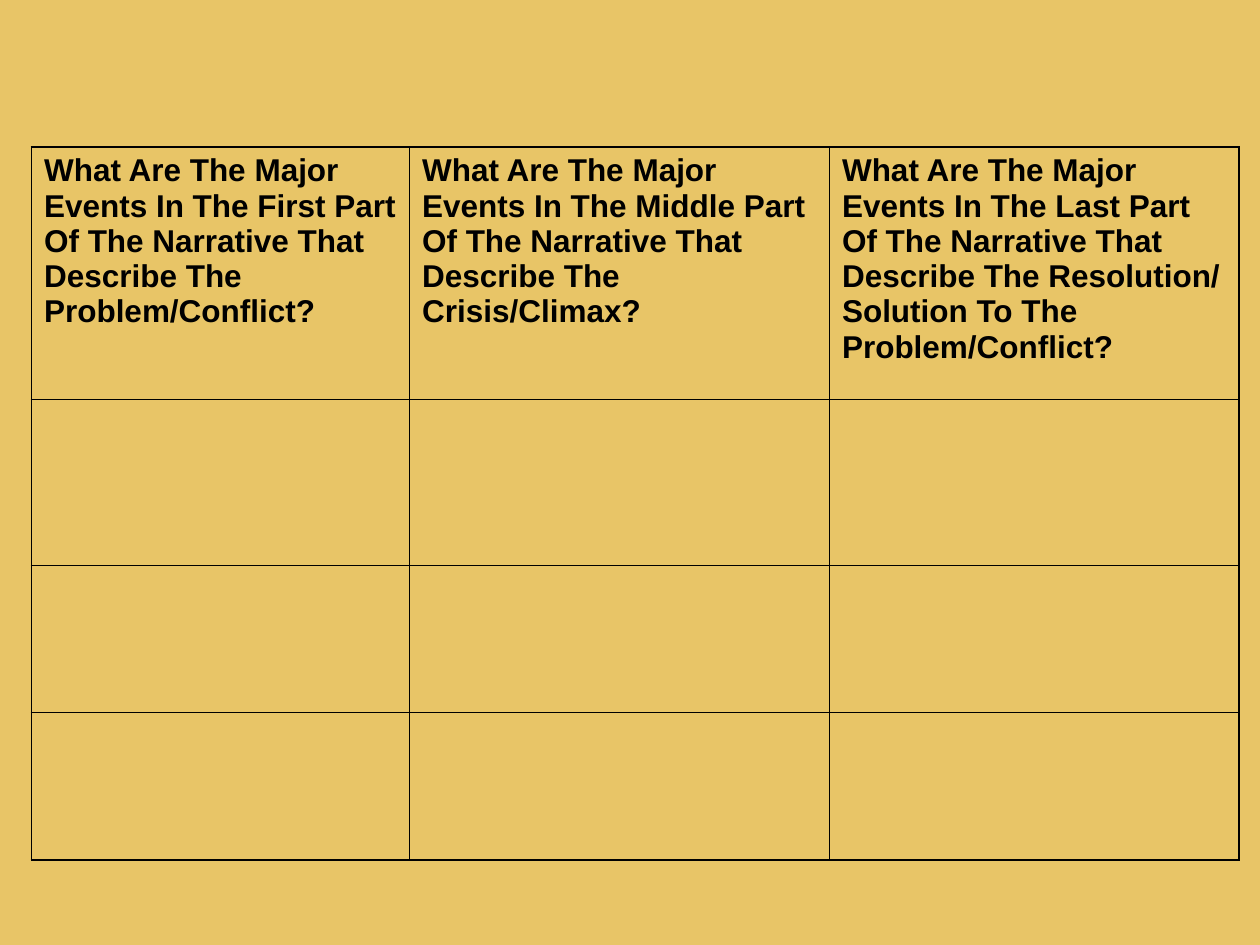
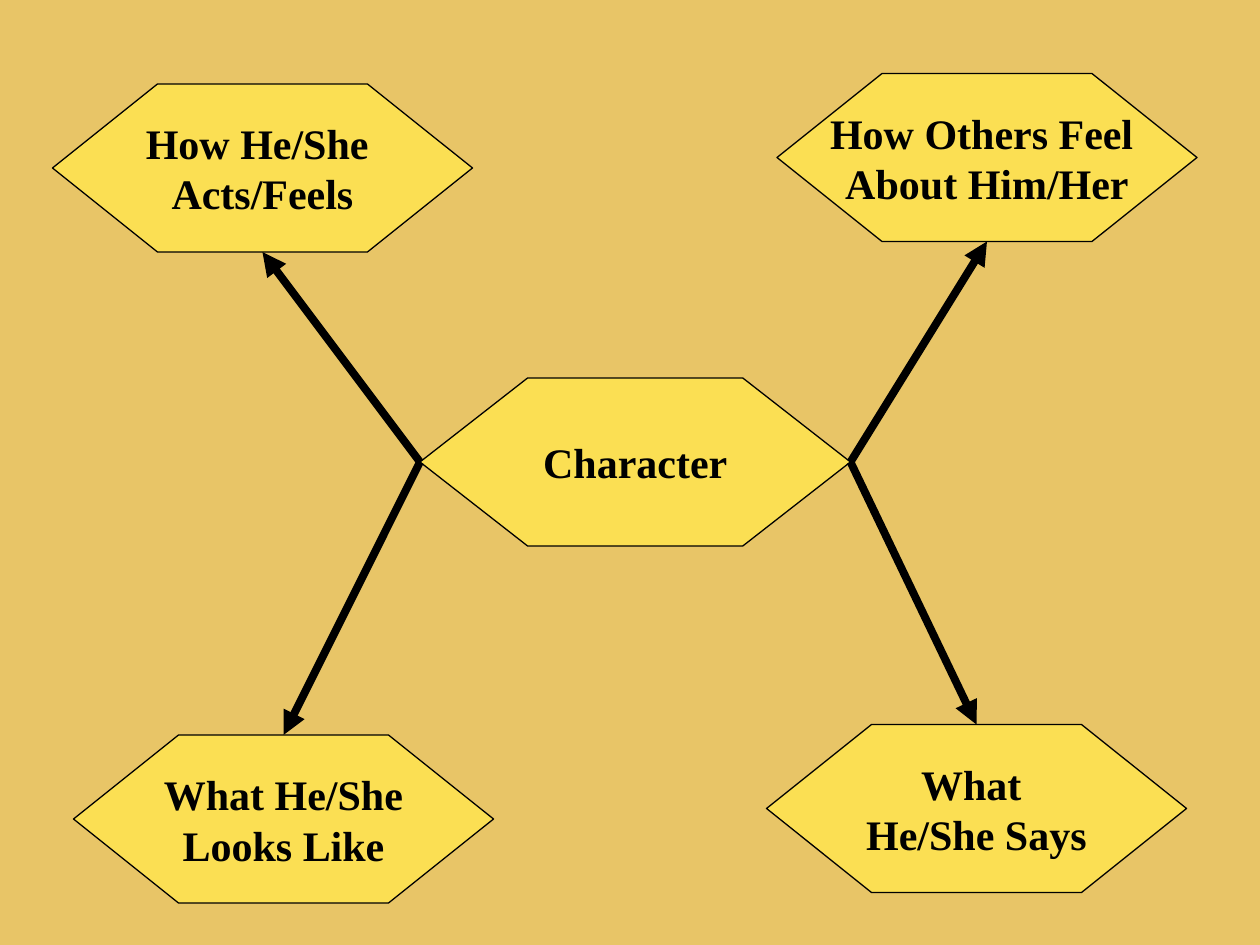
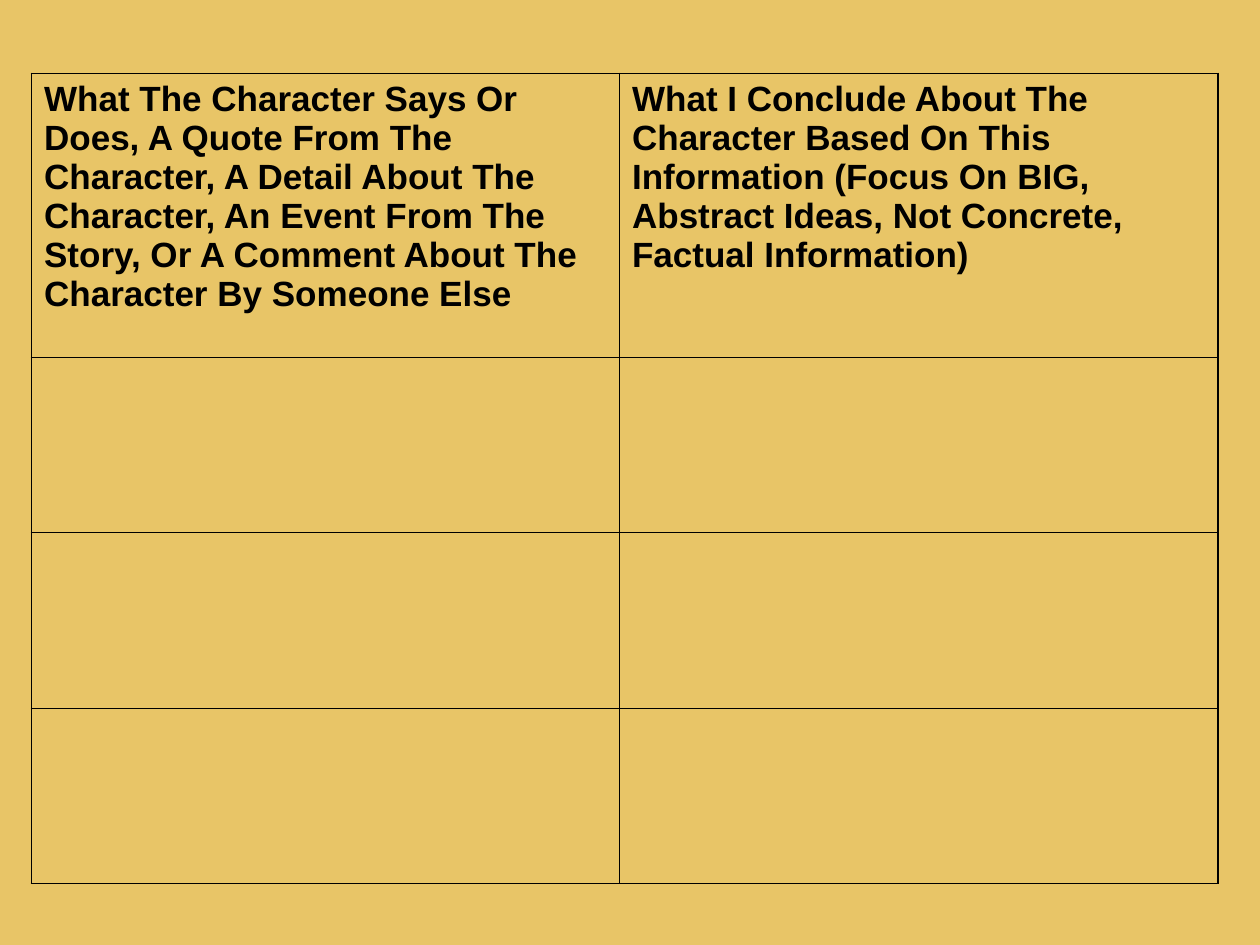
import pptx
import pptx.dml.color
import pptx.enum.shapes
import pptx.enum.text
import pptx.oxml
import pptx.oxml.ns
import pptx.util

Pt = pptx.util.Pt

# Shared look
BACKGROUND, HEXAGON_FILL, INK = "E8C567", "FBDF53", "000000"
OUTER_BORDER, INNER_BORDER = 1.08, 0.45

# Content: lengths in points
EVENTS_TABLE = {
    "position": (18, 84),
    "columns": [216, 240, 234],
    "rows": [144, 95, 84.25, 84.25],
    "size": 18,
    "headings": [
        "What Are The Major Events In The First Part Of The Narrative That Describe The Problem/Conflict?",
        "What Are The Major Events In The Middle Part Of The Narrative That Describe The Crisis/Climax?",
        "What Are The Major Events In The Last Part Of The Narrative That Describe The "
        "Resolution/ Solution To The Problem/Conflict?",
    ],
}
CONCLUSIONS_TABLE = {
    "position": (18, 42),
    "columns": [336, 342],
    "rows": [162, 100.3, 100.3, 100.3],
    "size": 20,
    "headings": [
        "What The Character Says Or Does, A Quote From The Character, A Detail About The Character, "
        "An Event From The Story, Or A Comment About The Character By Someone Else",
        "What I Conclude About The Character Based On This Information "
        "(Focus On BIG, Abstract Ideas, Not Concrete, Factual Information)",
    ],
}
HEXAGON_HEIGHT = 96
CENTER = {"lines": ["Character"], "left": 240, "top": 216, "width": 246}
TRAITS = [
    {"lines": ["How He/She ", "Acts/Feels"], "left": 30, "top": 48},
    {"lines": ["How Others Feel ", "About Him/Her"], "left": 444, "top": 42},
    {"lines": ["What He/She", "Looks Like"], "left": 42, "top": 420},
    {"lines": ["What ", "He/She Says"], "left": 438, "top": 414},
]
TRAIT_WIDTH = 240


def color(value):
    return pptx.dml.color.RGBColor.from_string(value)


def write(frame, lines, *, font, size, align=None):
    """Fill a text frame with bold paragraphs, one per line."""
    for index, line in enumerate(lines):
        paragraph = frame.paragraphs[0] if index == 0 else frame.add_paragraph()
        paragraph.alignment = align
        run = paragraph.add_run()
        run.text = line
        run.font.name, run.font.size, run.font.bold = font, Pt(size), True
        run.font.color.rgb = color(INK)


def set_border(cell, side, width):
    properties = cell._tc.get_or_add_tcPr()
    line = pptx.oxml.parse_xml(
        f'<a:{side} {pptx.oxml.ns.nsdecls("a")} w="{Pt(width)}">'
        f'<a:solidFill><a:srgbClr val="{INK}"/></a:solidFill></a:{side}>')
    properties.append(line)


def add_grid(slide, grid):
    """Add a ruled table with headings in its first row."""
    columns, rows = grid["columns"], grid["rows"]
    left, top = grid["position"]
    table = slide.shapes.add_table(len(rows), len(columns), Pt(left), Pt(top),
                                   Pt(sum(columns)), Pt(sum(rows))).table
    table.first_row = table.horz_banding = False
    for column, width in zip(table.columns, columns):
        column.width = Pt(width)
    for row, height in zip(table.rows, rows):
        row.height = Pt(height)
    for r in range(len(rows)):
        for c in range(len(columns)):
            cell = table.cell(r, c)
            edges = {"lnL": c == 0, "lnR": c == len(columns) - 1,
                     "lnT": r == 0, "lnB": r == len(rows) - 1}
            for side, is_outer in edges.items():
                set_border(cell, side, OUTER_BORDER if is_outer else INNER_BORDER)
            cell.fill.background()
    for c, heading in enumerate(grid["headings"]):
        write(table.cell(0, c).text_frame, [heading], font="Arial", size=grid["size"])


def add_hexagon(slide, lines, left, top, width=TRAIT_WIDTH):
    shape = slide.shapes.add_shape(pptx.enum.shapes.MSO_SHAPE.HEXAGON, Pt(left), Pt(top),
                                   Pt(width), Pt(HEXAGON_HEIGHT))
    # Each slanted side takes a quarter of the width
    shape.adjustments[0] = width / 4 / HEXAGON_HEIGHT
    shape.shadow.inherit = False
    shape.fill.solid()
    shape.fill.fore_color.rgb = color(HEXAGON_FILL)
    shape.line.color.rgb = color(INK)
    shape.line.width = Pt(0.75)
    frame = shape.text_frame
    frame.word_wrap = False
    frame.vertical_anchor = pptx.enum.text.MSO_ANCHOR.MIDDLE
    write(frame, lines, font="Times New Roman", size=24, align=pptx.enum.text.PP_ALIGN.CENTER)


def add_arrow(slide, start, end):
    arrow = slide.shapes.add_connector(pptx.enum.shapes.MSO_CONNECTOR.STRAIGHT,
                                       *(Pt(value) for value in start + end))
    arrow.line.color.rgb = color(INK)
    arrow.line.width = Pt(4.5)
    namespace = pptx.oxml.ns.nsdecls("a")
    arrow.line._get_or_add_ln().append(pptx.oxml.parse_xml(f'<a:tailEnd {namespace} type="triangle"/>'))
    arrow._element.spPr.append(pptx.oxml.parse_xml(f"<a:effectLst {namespace}/>"))


def add_character_map(slide):
    add_hexagon(slide, **CENTER)
    for trait in TRAITS:
        add_hexagon(slide, **trait)
    # Arrows leave the nearer tip of the center and meet the facing edge
    for trait in TRAITS:
        is_left = trait["left"] < CENTER["left"]
        is_above = trait["top"] < CENTER["top"]
        start = (CENTER["left"] + (0 if is_left else CENTER["width"]),
                 CENTER["top"] + HEXAGON_HEIGHT / 2)
        end = (trait["left"] + TRAIT_WIDTH / 2,
               trait["top"] + (HEXAGON_HEIGHT if is_above else 0))
        add_arrow(slide, start, end)


def main():
    presentation = pptx.Presentation()
    presentation.slide_width, presentation.slide_height = Pt(720), Pt(540)
    background = presentation.slide_master.background.fill
    background.solid()
    background.fore_color.rgb = color(BACKGROUND)

    blank = presentation.slide_layouts[6]
    add_grid(presentation.slides.add_slide(blank), EVENTS_TABLE)
    add_character_map(presentation.slides.add_slide(blank))
    add_grid(presentation.slides.add_slide(blank), CONCLUSIONS_TABLE)
    presentation.save("out.pptx")


if __name__ == "__main__":
    main()
